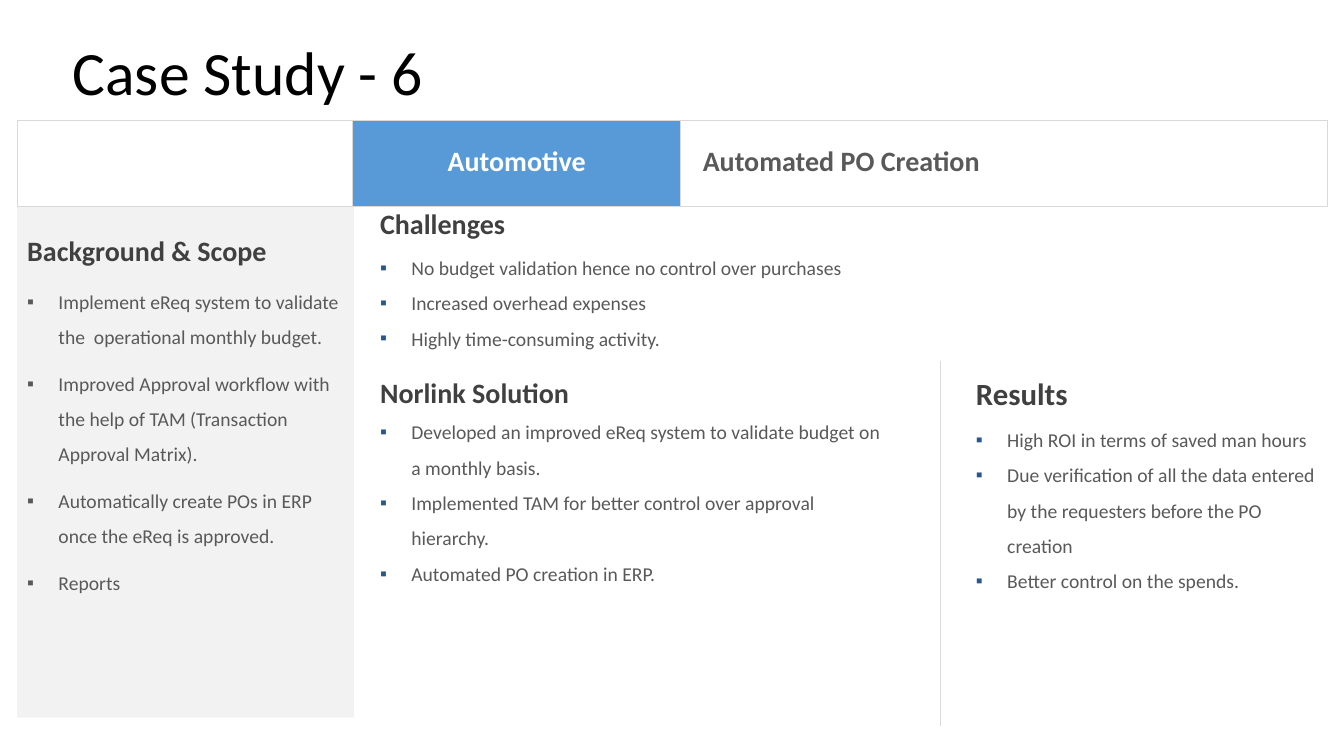
from dataclasses import dataclass

from lxml import etree
from pptx import Presentation
from pptx.dml.color import RGBColor
from pptx.enum.shapes import MSO_CONNECTOR, MSO_SHAPE
from pptx.enum.text import MSO_ANCHOR, MSO_AUTO_SIZE, PP_ALIGN
from pptx.oxml.ns import qn
from pptx.util import Inches, Pt

RECTANGLE = MSO_SHAPE.RECTANGLE
STRAIGHT = MSO_CONNECTOR.STRAIGHT
TOP, MIDDLE = MSO_ANCHOR.TOP, MSO_ANCHOR.MIDDLE
LEFT, CENTER = PP_ALIGN.LEFT, PP_ALIGN.CENTER
NO_FIT = MSO_AUTO_SIZE.NONE
COMPARISON_LAYOUT = 4


@dataclass(frozen=True)
class Theme:
    """Colours, type sizes and font of the deck."""
    font: str = "Calibri"
    title_size: int = 44
    results_size: int = 22
    heading_size: int = 20
    body_size: int = 14
    black: str = "000000"
    white: str = "FFFFFF"
    heading: str = "404040"
    body: str = "595959"
    bullet: str = "275791"
    accent: str = "589AD7"
    panel: str = "F2F2F2"
    rule: str = "D9D9D9"


THEME = Theme()


def apply(target, values):
    """Set every attribute named in values on the target."""
    for name, value in values.items():
        setattr(target, name, value)


def place(shape, box):
    """Move a shape to a box of left, top, width and height in inches."""
    apply(shape, dict(zip(("left", "top", "width", "height"), map(Inches, box))))


def write(para, text, size, color, bold=False, **spacing):
    """Write one formatted span into a paragraph."""
    apply(para, {"alignment": LEFT, "space_before": Pt(0),
                 "space_after": Pt(0), **spacing})
    span = para.add_run()
    span.text = text
    apply(span.font, {"name": THEME.font, "size": Pt(size), "bold": bold})
    span.font.color.rgb = RGBColor.from_string(color)


def set_bullet(para, color=None):
    """Give a paragraph a square bullet, or none when no colour is given."""
    properties = para._p.get_or_add_pPr()
    indent = Inches(0.31) if color else 0
    properties.set("marL", str(indent))
    properties.set("indent", str(-indent))
    if color is None:
        etree.SubElement(properties, qn("a:buNone"))
        return
    bullet_color = etree.SubElement(properties, qn("a:buClr"))
    etree.SubElement(bullet_color, qn("a:srgbClr"), val=color)
    etree.SubElement(properties, qn("a:buFont"), typeface="Arial")
    etree.SubElement(properties, qn("a:buChar"), char="▪")


def add_title(page, box, text):
    """Fill the title placeholder."""
    title = page.shapes.title
    place(title, box)
    apply(title.text_frame, {"vertical_anchor": MIDDLE, "word_wrap": True,
                             "auto_size": NO_FIT})
    write(title.text_frame.paragraphs[0], text, THEME.title_size, THEME.black,
          line_spacing=0.9)


def add_section(holder, box, heading, items, heading_size=THEME.heading_size,
                heading_format=None, item_format=None, bullet=THEME.bullet,
                margin_top=0.05):
    """Fill a body placeholder with a heading and a bulleted list."""
    place(holder, box)
    frame = holder.text_frame
    apply(frame, {"vertical_anchor": TOP, "word_wrap": True,
                  "auto_size": NO_FIT, "margin_top": Inches(margin_top)})
    para = frame.paragraphs[0]
    set_bullet(para)
    write(para, heading, heading_size, THEME.heading, True, **(heading_format or {}))
    for item in items:
        para = frame.add_paragraph()
        set_bullet(para, bullet)
        write(para, item, THEME.body_size, THEME.body, line_spacing=1.5,
              **(item_format or {}))


def add_banner(page, box):
    """Draw the row of three header cells across the box."""
    left, top, width, height = box
    cells = [
        (3.34, "", None, THEME.body, LEFT, 0.1),
        (3.25, "Automotive", THEME.accent, THEME.white, CENTER, 0.1),
        (6.42, "Automated PO Creation", None, THEME.body, LEFT, 0.22),
    ]
    starts = (left, left + 3.33, left + width - 6.42)
    for start, (cell_width, text, fill, color, alignment, margin) in zip(starts, cells):
        cell = page.shapes.add_shape(
            RECTANGLE, *map(Inches, (start, top, cell_width, height)))
        cell.shadow.inherit = False
        if fill:
            cell.fill.solid()
            cell.fill.fore_color.rgb = RGBColor.from_string(fill)
        else:
            cell.fill.background()
        cell.line.color.rgb = RGBColor.from_string(THEME.rule)
        cell.line.width = Pt(0.75)
        if text:
            apply(cell.text_frame, {"vertical_anchor": MIDDLE, "word_wrap": True,
                                    "margin_left": Inches(margin)})
            write(cell.text_frame.paragraphs[0], text, THEME.heading_size, color,
                  True, alignment=alignment, line_spacing=0.75)


def add_divider(page, left, top, height):
    """Draw the vertical rule before the results."""
    divider = page.shapes.add_connector(
        STRAIGHT, *map(Inches, (left, top, left, top + height)))
    divider.line.color.rgb = RGBColor.from_string(THEME.rule)
    divider.line.width = Pt(0.75)
    etree.SubElement(divider._element.spPr, qn("a:effectLst"))


def add_case_study(deck):
    """Build the case study page."""
    page = deck.slides.add_slide(deck.slide_layouts[COMPARISON_LAYOUT])
    background, challenges, solution, results = list(page.placeholders)[1:]
    add_title(page, (0.62, 0.35, 11.5, 0.8), "Case Study - 6")
    background.fill.solid()
    background.fill.fore_color.rgb = RGBColor.from_string(THEME.panel)
    add_section(
        background, (0.17, 2.05, 3.34, 5.07), "Background & Scope",
        ["Implement eReq system to validate the  operational monthly budget.",
         "Improved Approval workflow with the help of TAM (Transaction Approval Matrix).",
         "Automatically create POs in ERP once the eReq is approved.",
         "Reports"],
        heading_format={"line_spacing": 1.5, "space_after": Pt(4)},
        item_format={"space_before": Pt(4), "space_after": Pt(4)},
        bullet=THEME.body, margin_top=0.1)
    add_section(
        challenges, (3.67, 2.08, 9.5, 1.52), "Challenges",
        ["No budget validation hence no control over purchases",
         "Increased overhead expenses",
         "Highly time-consuming activity."],
        heading_format={"line_spacing": 0.75, "space_after": Pt(3)})
    add_section(
        solution, (3.67, 3.67, 5.25, 3.54), "Norlink Solution",
        ["Developed an improved eReq system to validate budget on a monthly basis.",
         "Implemented TAM for better control over approval hierarchy.",
         "Automated PO creation in ERP."])
    add_section(
        results, (9.58, 3.67, 3.58, 3.54), "Results",
        ["High ROI in terms of saved man hours",
         "Due verification of all the data entered by the requesters before the PO creation",
         "Better control on the spends."],
        heading_size=THEME.results_size, heading_format={"space_after": Pt(3)})
    add_banner(page, (0.17, 1.2, 13, 0.85))
    add_divider(page, 9.33, 3.58, 3.62)


def main():
    """Create and save the deck."""
    deck = Presentation()
    apply(deck, {"slide_width": Inches(13.33), "slide_height": Inches(7.5)})
    add_case_study(deck)
    deck.save("out.pptx")


if __name__ == "__main__":
    main()
